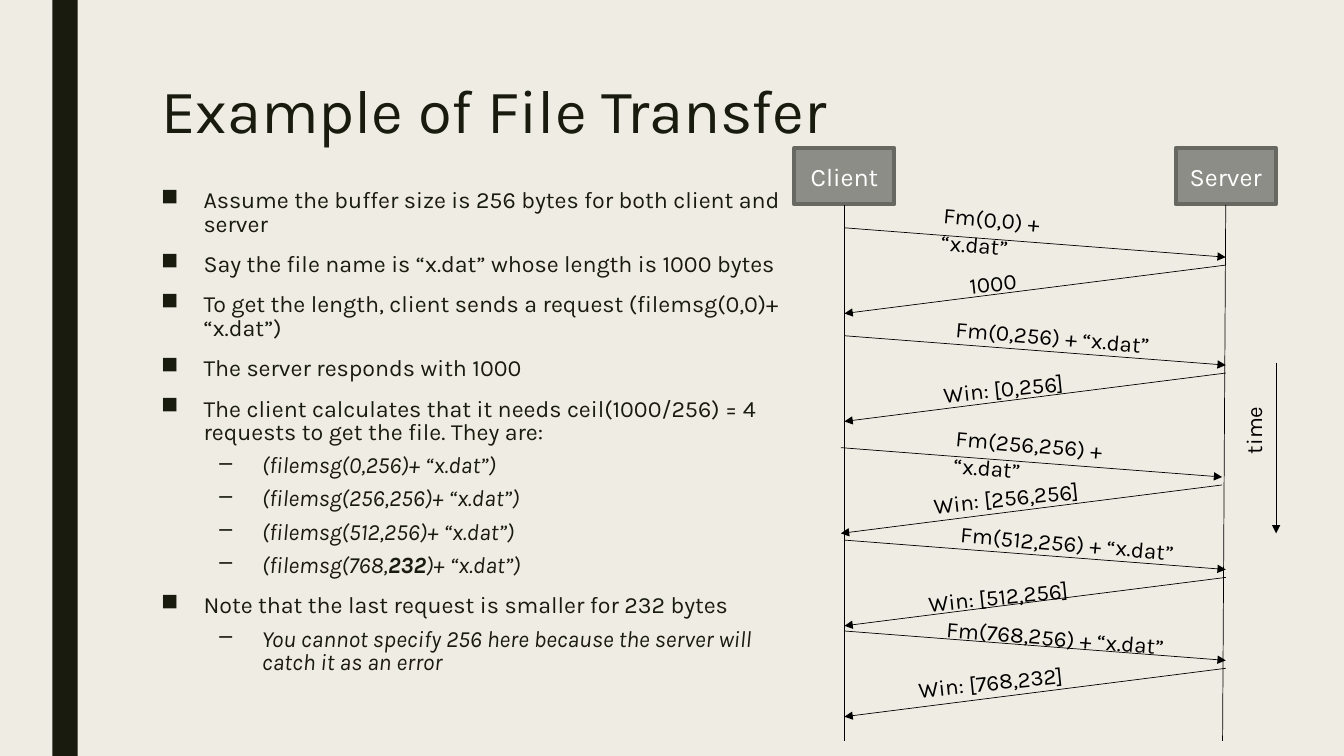
from dataclasses import dataclass

from pptx import Presentation as Deck
from pptx.dml.color import RGBColor as Rgb
from pptx.enum.shapes import MSO_CONNECTOR as Link, MSO_SHAPE as Form
from pptx.enum.text import MSO_ANCHOR as Anchor, MSO_AUTO_SIZE as Fit, PP_ALIGN as Align
from pptx.oxml.ns import qn
from pptx.util import Cm, Pt


@dataclass(frozen=True)
class Theme:
    font: str = "Karla"
    back: str = "EFEDE3"
    ink: str = "191B0E"
    black: str = "000000"
    white: str = "FFFFFF"
    node: str = "8C8D86"
    edge: str = "686863"
    title: float = 44
    body: float = 16.6
    head: float = 18
    label: float = 16
    thin: float = 0.5
    thick: float = 2.75


def write(para, text, font, size, color, bold=False, slant=False):
    """Add one run of text to a paragraph."""
    run = para.add_run()
    run.text = text
    face = run.font
    face.name, face.size = font, Pt(size)
    face.bold, face.italic = bold, slant
    face.color.rgb = Rgb.from_string(color)


class Page:
    def __init__(self, slide, theme):
        self.slide, self.theme = slide, theme
        fill = slide.background.fill
        fill.solid()
        fill.fore_color.rgb = Rgb.from_string(theme.back)

    def block(self, x, y, w, h, color, edge=None):
        shape = self.slide.shapes.add_shape(Form.RECTANGLE, Cm(x), Cm(y), Cm(w), Cm(h))
        shape.shadow.inherit = False
        shape.fill.solid()
        shape.fill.fore_color.rgb = Rgb.from_string(color)
        if edge:
            shape.line.color.rgb = Rgb.from_string(edge)
            shape.line.width = Pt(self.theme.thick)
        else:
            shape.line.fill.background()
        return shape

    def node(self, x, y, w, h, text):
        t = self.theme
        frame = self.block(x, y, w, h, t.node, t.edge).text_frame
        frame.vertical_anchor = Anchor.MIDDLE
        para = frame.paragraphs[0]
        para.alignment = Align.CENTER
        write(para, text, t.font, t.head, t.white)

    def frame(self, x, y, w, h, turn=0):
        box = self.slide.shapes.add_textbox(Cm(x), Cm(y), Cm(w), Cm(h))
        box.rotation = turn
        box.text_frame.word_wrap = True
        return box.text_frame

    def title(self, x, y, w, h, text):
        t = self.theme
        para = self.frame(x, y, w, h).paragraphs[0]
        para.line_spacing = 0.89
        write(para, text, t.font, t.title, t.ink)

    def label(self, x, y, w, text, turn):
        t = self.theme
        frame = self.frame(x, y, w, 0.94, turn)
        frame.auto_size = Fit.SHAPE_TO_FIT_TEXT
        write(frame.paragraphs[0], text, t.font, t.label, t.black)

    def points(self, x, y, w, h, items):
        t = self.theme
        frame = self.frame(x, y, w, h)
        for i, (level, parts) in enumerate(items):
            para = frame.add_paragraph() if i else frame.paragraphs[0]
            para.level = level
            para.line_spacing = 0.84
            para.space_before, para.space_after = Pt(5 if level else 10), Pt(2)
            # Hanging bullet
            prop = para._p.get_or_add_pPr()
            prop.set("marL", str(Cm(2.54 if level else 1.07)))
            prop.set("indent", str(Cm(-1.07)))
            mark = prop.makeelement(qn("a:buChar"), {"char": "–" if level else "■"})
            prop.append(mark)
            # Every second part is bold
            for n, part in enumerate(parts):
                write(para, part, t.font, t.body, t.ink, bold=n % 2 == 1, slant=level > 0)

    def line(self, x1, y1, x2, y2, arrow=False):
        link = self.slide.shapes.add_connector(Link.STRAIGHT, Cm(x1), Cm(y1), Cm(x2), Cm(y2))
        link.line.color.rgb = Rgb.from_string(self.theme.black)
        link.line.width = Pt(self.theme.thin)
        prop = link._element.spPr
        if arrow:
            stroke = link.line._get_or_add_ln()
            stroke.append(stroke.makeelement(qn("a:tailEnd"), {"type": "triangle"}))
        prop.append(prop.makeelement(qn("a:effectLst"), {}))


POINTS = [
    (0, ["Assume the buffer size is 256 bytes for both client and server"]),
    (0, ["Say the file name is “x.dat” whose length is 1000 bytes"]),
    (0, ["To get the length, client sends a request (filemsg(0,0)+ “x.dat”)"]),
    (0, ["The server responds with 1000"]),
    (0, ["The client calculates that it needs ceil(1000/256) = 4 requests to get the file. They are:"]),
    (1, ["(filemsg(0,256)+ “x.dat”)"]),
    (1, ["(filemsg(256,256)+ “x.dat”)"]),
    (1, ["(filemsg(512,256)+ “x.dat”)"]),
    (1, ["(filemsg(768,", "232", ")+ “x.dat”)"]),
    (0, ["Note that the last request is smaller for 232 bytes"]),
    (1, ["You cannot specify 256 here because the server will catch it as an error"]),
]

# Start height, side shift, then request and reply as (x, y, width, text)
TRIPS = [
    (5.74, 0, (23.52, 5.13, 4.6, "Fm(0,0) + “x.dat”"), (24.18, 6.65, 1.96, "1000")),
    (8.46, 0, (23.83, 8.05, 6.02, "Fm(0,256) + “x.dat”"), (23.52, 9.32, 3.63, "Win: [0,256]")),
    (11.28, -0.09, (23.83, 10.8, 5.95, "Fm(256,256) + “x.dat”"), (23.27, 12.07, 4.34, "Win: [256,256]")),
    (13.61, 0, (23.95, 13.23, 6.02, "Fm(512,256) + “x.dat”"), (23.14, 14.55, 4.34, "Win: [512,256]")),
    (15.9, 0, (23.6, 15.6, 6.02, "Fm(768,256) + “x.dat”"), (22.89, 16.71, 4.34, "Win: [768,232]")),
]
LEFT, RIGHT = 21.28, 30.89


def main():
    deck = Deck()
    deck.slide_width, deck.slide_height = Cm(33.87), Cm(19.05)
    theme = Theme()
    page = Page(deck.slides.add_slide(deck.slide_layouts[6]), theme)

    # Side bar, title and bullet list
    page.block(1.32, 0, 0.64, 19.05, theme.ink)
    page.title(3.81, 1.91, 26.67, 2.31, "Example of File Transfer")
    page.points(3.81, 4.67, 16.21, 13.49, POINTS)

    # Two parties and their lifelines
    for x, foot, name in ((LEFT, LEFT, "Client"), (RIGHT, 30.81, "Server")):
        page.node(x - 1.26, 3.73, 2.52, 1.42, name)
        page.line(x, 5.16, foot, 18.67)

    # Each request is followed by its reply
    for top, shift, ask, answer in TRIPS:
        near, far = LEFT + shift, RIGHT + shift
        page.line(near, top, far, top + 0.74, arrow=True)
        page.line(far, top + 0.94, near, top + 2.16, arrow=True)
        page.label(*ask, turn=4.9)
        page.label(*answer, turn=354.1)

    # Time axis
    page.line(32.16, 9.14, 32.16, 13.44, arrow=True)
    page.label(30.61, 10.24, 1.96, "time", turn=270)

    deck.save("out.pptx")


if __name__ == "__main__":
    main()
